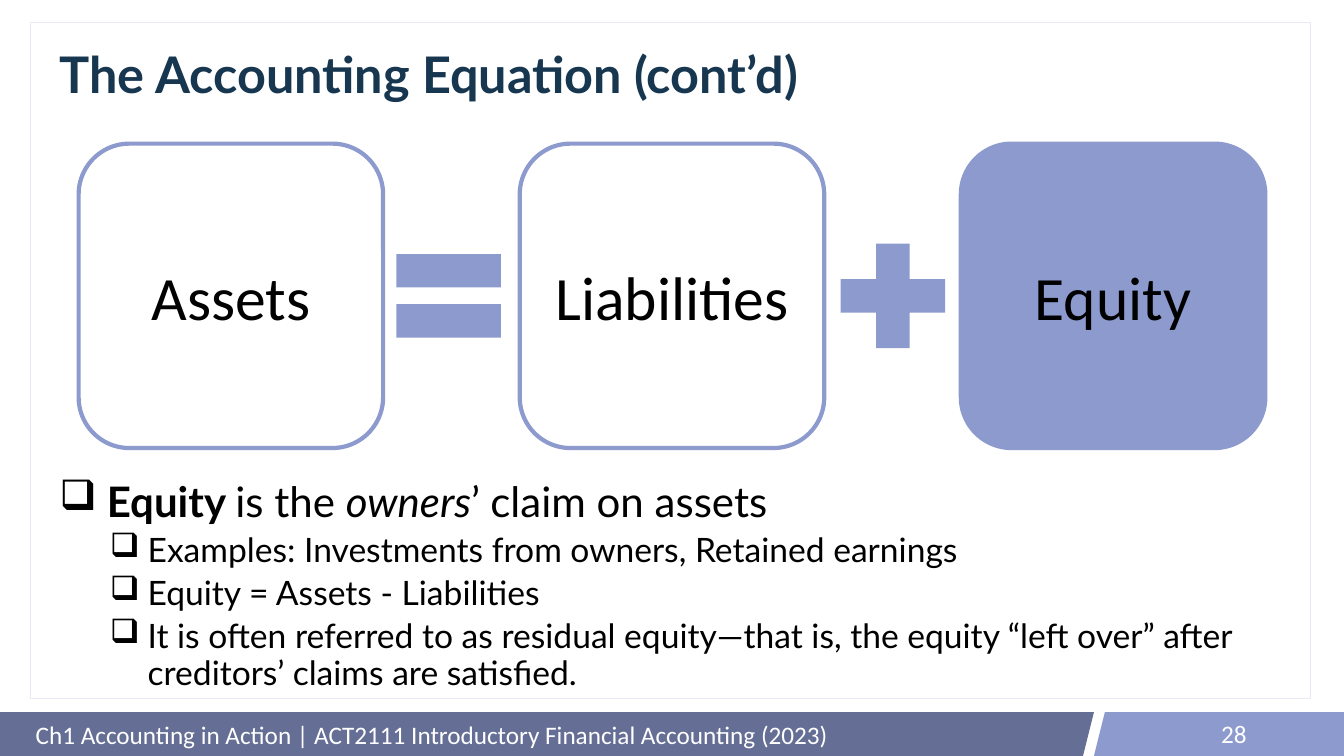
from lxml import etree
from pptx import Presentation
from pptx.dml.color import RGBColor
from pptx.enum import shapes, text
from pptx.oxml import ns
from pptx.util import Inches, Pt

WHITE = RGBColor(0xFF, 0xFF, 0xFF)
BLACK = RGBColor(0x00, 0x00, 0x00)
NAVY = RGBColor(0x17, 0x36, 0x4F)
SLATE = RGBColor(0x65, 0x6E, 0x95)
PERIWINKLE = RGBColor(0x8D, 0x9A, 0xCE)
PALE = RGBColor(0xE8, 0xEB, 0xF5)

SHAPE = shapes.MSO_SHAPE
ALIGN = text.PP_ALIGN
MIDDLE = text.MSO_ANCHOR.MIDDLE

CLAIM = [("Equity ", True, False), ("is the ", False, False),
         ("owners", False, True), ("’ claim on assets", False, False)]
DETAILS = [
    "Examples: Investments from owners, Retained earnings",
    "Equity = Assets - Liabilities",
    "It is often referred to as residual equity—that is, the equity “left over” "
    "after creditors’ claims are satisfied.",
]


def add_block(slide, kind, box, fill, line=None, weight=1):
    block = slide.shapes.add_shape(kind, *map(Inches, box))
    block.shadow.inherit = False
    block.fill.solid()
    block.fill.fore_color.rgb = fill
    if line is None:
        block.line.fill.background()
    else:
        block.line.color.rgb = line
        block.line.width = Pt(weight)
    return block


def style(run, name, size, color, bold=False, italic=False):
    run.font.name = name
    run.font.size = Pt(size)
    run.font.color.rgb = color
    run.font.bold = bold
    run.font.italic = italic


def write_line(holder, words, name, size, color, align=ALIGN.LEFT, bold=False):
    frame = holder.text_frame
    frame.word_wrap = True
    frame.vertical_anchor = MIDDLE
    frame.text = words
    paragraph = frame.paragraphs[0]
    paragraph.alignment = align
    style(paragraph.runs[0], name, size, color, bold)
    return paragraph


def add_label(slide, box, *line):
    return write_line(slide.shapes.add_textbox(*map(Inches, box)), *line)


def set_bullet(paragraph, margin, hanging):
    properties = paragraph._p.get_or_add_pPr()
    properties.set("marL", str(Inches(margin)))
    properties.set("indent", str(-Inches(hanging)))
    etree.SubElement(properties, ns.qn("a:buChar")).set("char", "❑")


def add_footer(slide, left, top, width, height):
    split, slant = left + 21.7, 4.3
    add_block(slide, SHAPE.RECTANGLE, (left, top, 19.95, height), SLATE)
    add_block(slide, SHAPE.PARALLELOGRAM, (split - slant, top, slant, height), SLATE)
    add_block(slide, SHAPE.PARALLELOGRAM, (split, top, slant, height), PERIWINKLE)
    add_block(slide, SHAPE.RECTANGLE,
              (split + 0.67, top, width - 22.37, height), PERIWINKLE)
    add_label(slide, (left + 0.61, top + 0.02, 20.6, 0.85),
              "Ch1 Accounting in Action | ACT2111 Introductory Financial Accounting (2023)",
              "Calibri", 36, WHITE)
    add_label(slide, (left + 18.83, top + 0.02, 6, 0.8),
              "28", "Calibri", 36, WHITE, ALIGN.RIGHT)


def add_title(slide, *box):
    title = add_label(slide, box, "The Accounting Equation (cont’d)",
                      "Lato", 72, NAVY, ALIGN.LEFT, True)
    title.line_spacing = 0.9


def add_equation(slide, left, top, width, side):
    pitch = (width - side) / 2
    sign = 2.82
    terms = [("Assets", WHITE), ("Liabilities", WHITE), ("Equity", PERIWINKLE)]
    for index, (term, fill) in enumerate(terms):
        card = add_block(slide, SHAPE.ROUNDED_RECTANGLE,
                         (left + index * pitch, top, side, side),
                         fill, PERIWINKLE, 6)
        write_line(card, term, "Calibri", 88, BLACK, ALIGN.CENTER)
    sign_top = top + (side - sign) / 2
    for kind, offset in ((SHAPE.MATH_EQUAL, 5.93), (SHAPE.MATH_PLUS, 14.74)):
        add_block(slide, kind, (left + offset, sign_top, sign, sign), PERIWINKLE)


def add_explanation(slide, *box):
    frame = slide.shapes.add_textbox(*map(Inches, box)).text_frame
    frame.word_wrap = True
    claim = frame.paragraphs[0]
    claim.line_spacing = 0.9
    set_bullet(claim, 0.94, 0.94)
    for words, bold, italic in CLAIM:
        run = claim.add_run()
        run.text = words
        style(run, "Lato", 60, BLACK, bold, italic)
    for words in DETAILS:
        detail = frame.add_paragraph()
        detail.text = words
        detail.level = 1
        detail.line_spacing = 0.9
        detail.space_before = Pt(10)
        set_bullet(detail, 1.75, 0.75)
        style(detail.runs[0], "Lato", 48, BLACK)


def main():
    deck = Presentation()
    deck.slide_width, deck.slide_height = Inches(26.66), Inches(15)
    slide = deck.slides.add_slide(deck.slide_layouts[6])
    add_footer(slide, 0, 14.13, 26.66, 0.87)
    add_block(slide, SHAPE.RECTANGLE, (0.61, 0.44, 25.39, 13.41), WHITE, PALE)
    add_title(slide, 1.08, 0.8, 24.39, 1.45)
    add_explanation(slide, 1.08, 9.49, 23.92, 5.51)
    add_equation(slide, 1.56, 2.85, 23.54, 6.04)
    deck.save("out.pptx")


if __name__ == "__main__":
    main()
